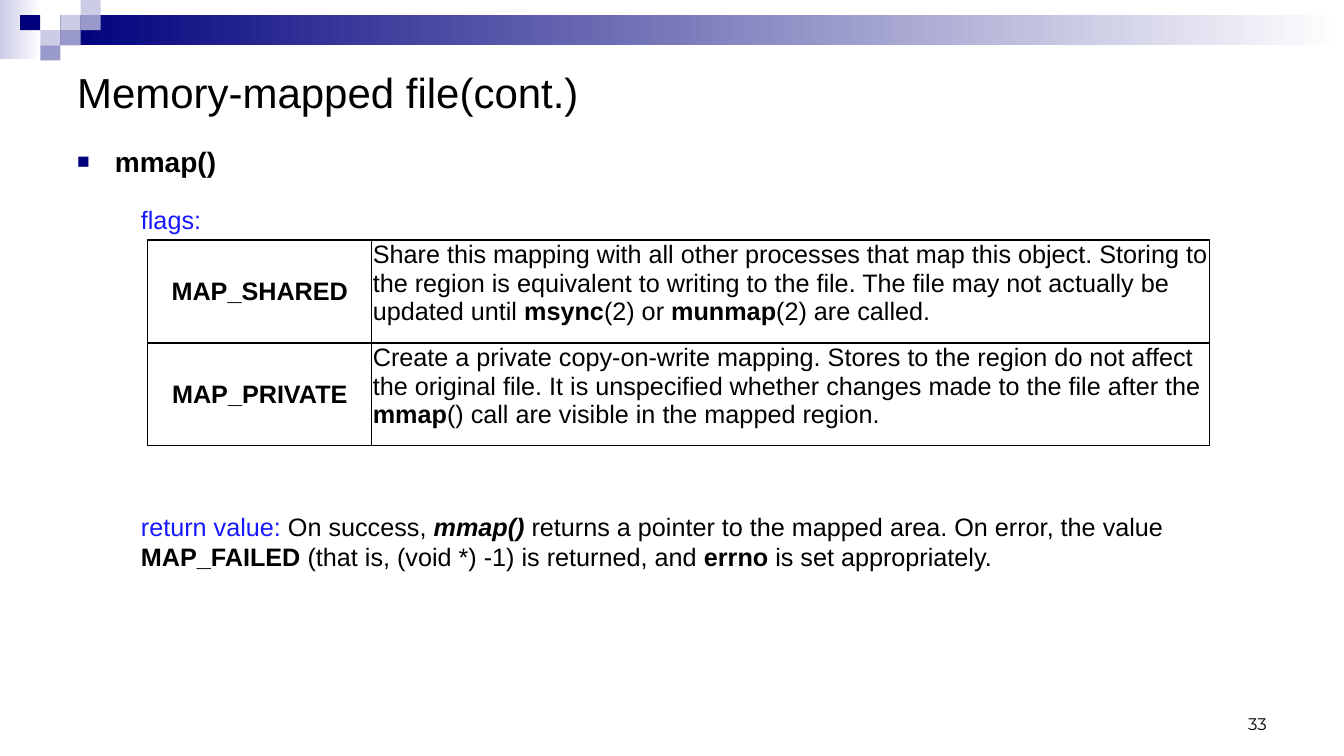
import dataclasses

import pptx
import pptx.dml.color
import pptx.enum.shapes
import pptx.enum.text
import pptx.oxml
import pptx.oxml.ns
import pptx.util

Pt = pptx.util.Pt
RGB = pptx.dml.color.RGBColor.from_string
ALIGN = pptx.enum.text.PP_ALIGN
ANCHOR = pptx.enum.text.MSO_ANCHOR


@dataclasses.dataclass(frozen=True)
class Theme:
    ink: str = "000000"
    label: str = "1818FF"
    navy: str = "00007D"
    mid: str = "9999CC"
    pale: str = "CCCCE6"
    white: str = "FFFFFF"
    font: str = "Arial"
    digit: str = "Montserrat"
    title: int = 30
    head: int = 20
    text: int = 18
    page: int = 12


THEME = Theme()


def make_node(tag, inner="", **attrs):
    pairs = "".join(f' {key}="{val}"' for key, val in attrs.items())
    space = pptx.oxml.ns.nsdecls("a")
    return pptx.oxml.parse_xml(f"<a:{tag} {space}{pairs}>{inner}</a:{tag}>")


def add_runs(para, runs, size, font=THEME.font):
    """Each run is its text, a style string of b and i, and a colour."""
    for text, style, color in runs:
        run = para.add_run()
        run.text = text
        run.font.name = font
        run.font.size = Pt(size)
        run.font.bold = "b" in style
        run.font.italic = "i" in style
        run.font.color.rgb = RGB(color)


def add_text(slide, box, runs, size, font=THEME.font,
             anchor=ANCHOR.TOP, align=ALIGN.LEFT):
    frame = slide.shapes.add_textbox(*map(Pt, box)).text_frame
    frame.word_wrap = True
    frame.vertical_anchor = anchor
    para = frame.paragraphs[0]
    para.alignment = align
    add_runs(para, runs, size, font)
    return para


def add_block(slide, box, *colors):
    """A plain block for one colour, a left-to-right fade for two."""
    kind = pptx.enum.shapes.MSO_SHAPE.RECTANGLE
    shape = slide.shapes.add_shape(kind, *map(Pt, box))
    shape.shadow.inherit = False
    shape.line.fill.background()
    if len(colors) == 1:
        shape.fill.solid()
        shape.fill.fore_color.rgb = RGB(colors[0])
        return
    shape.fill.gradient()
    shape.fill.gradient_angle = 0
    for spot, (stop, color) in enumerate(zip(shape.fill.gradient_stops, colors)):
        stop.position = spot
        stop.color.rgb = RGB(color)


def add_band(slide, box):
    left, top, width, height = box
    wide, high = 14.4, height / 4

    # Fades behind the squares
    add_block(slide, (left, top, 30, height - 1.2), THEME.pale, THEME.white)
    start = 3 * wide
    add_block(slide, (left + start, top + high, width - start, 2 * high),
              THEME.navy, THEME.white)

    # Squares on a grid of columns and rows
    squares = [(3, 1, THEME.pale), (4, 0, THEME.pale), (4, 1, THEME.mid),
               (2, 2, THEME.pale), (1, 1, THEME.navy), (3, 2, THEME.mid),
               (2, 3, THEME.mid)]
    for col, row, color in squares:
        add_block(slide, (left + col * wide, top + row * high, wide, high), color)


def add_point(slide, box, text):
    para = add_text(slide, box, [(text, "b", THEME.ink)], THEME.head)
    props = para._p.get_or_add_pPr()
    props.set("marL", str(Pt(27)))
    props.set("indent", str(Pt(-27)))
    shade = f'<a:srgbClr val="{THEME.navy}"/>'
    props.append(make_node("buClr", shade))
    props.append(make_node("buSzPct", val=75000))
    props.append(make_node("buFont", typeface=THEME.font))
    props.append(make_node("buChar", char="■"))


def add_edges(cell):
    props = cell._tc.get_or_add_tcPr()
    fill = f'<a:solidFill><a:srgbClr val="{THEME.ink}"/></a:solidFill>'
    for spot, side in enumerate("LRTB"):
        props.insert(spot, make_node("ln" + side, fill, w=Pt(1)))


def add_flags(slide, box, rows):
    left, top, width, height = box
    names = 160
    frame = slide.shapes.add_table(len(rows), 2, *map(Pt, box))
    table = frame.table
    table.first_row = table.horz_banding = False
    table.columns[0].width = Pt(names)
    table.columns[1].width = Pt(width - names)
    for line, (name, runs) in zip(table.rows, rows):
        line.height = Pt(height / len(rows))
        first, second = line.cells
        for cell in (first, second):
            cell.fill.background()
            add_edges(cell)
            cell.margin_left = cell.margin_right = Pt(0.75)
            cell.margin_top = cell.margin_bottom = Pt(0.75)
        first.vertical_anchor = ANCHOR.MIDDLE
        para = first.text_frame.paragraphs[0]
        para.alignment = ALIGN.CENTER
        add_runs(para, [(name, "b", THEME.ink)], THEME.text)
        add_runs(second.text_frame.paragraphs[0],
                 [(text, style, THEME.ink) for text, style in runs], THEME.text)


FLAGS = [
    ("MAP_SHARED", [
        ("Share this mapping with all other processes that map this object. "
         "Storing to the region is equivalent to writing to the file. "
         "The file may not actually be updated until ", ""),
        ("msync", "b"), ("(2) or ", ""), ("munmap", "b"),
        ("(2) are called.", "")]),
    ("MAP_PRIVATE", [
        ("Create a private copy-on-write mapping. Stores to the region do not "
         "affect the original file. It is unspecified whether changes made to "
         "the file after the ", ""),
        ("mmap", "b"),
        ("() call are visible in the mapped region.", "")]),
]

RESULT = [
    ("return value: ", "", THEME.label),
    ("On success, ", "", THEME.ink),
    ("mmap()", "bi", THEME.ink),
    (" returns a pointer to the mapped area. On error, the value ", "", THEME.ink),
    ("MAP_FAILED ", "b", THEME.ink),
    ("(that is, (void *) -1) is returned, and ", "", THEME.ink),
    ("errno", "b", THEME.ink),
    (" is set appropriately.", "", THEME.ink),
]


def add_page(slide, box):
    left, top, width, height = box
    add_band(slide, (left, top, width, 43.2))

    # Title and main point
    inner = width - 96
    add_text(slide, (left + 48, top + 36, inner, 58.4),
             [("Memory-mapped file(cont.)", "", THEME.ink)],
             THEME.title, anchor=ANCHOR.MIDDLE)
    add_point(slide, (left + 48, top + 100, inner, 362), "mmap()")

    # Flags and return value
    add_text(slide, (left + 93.6, top + 142.6, 761, 29),
             [("flags:", "", THEME.label)], THEME.text)
    add_flags(slide, (left + 105.6, top + 171.5, 758.4, 147), FLAGS)
    add_text(slide, (left + 93.6, top + 361.6, 761, 51), RESULT, THEME.text)

    # Page number
    add_text(slide, (left + width - 272, top + height - 48, 224, 36),
             [("33", "", THEME.ink)], THEME.page, THEME.digit,
             ANCHOR.BOTTOM, ALIGN.RIGHT)


def main():
    deck = pptx.Presentation()
    deck.slide_width, deck.slide_height = Pt(960), Pt(540)
    slide = deck.slides.add_slide(deck.slide_layouts[6])
    add_page(slide, (0, 0, 960, 540))
    deck.save("out.pptx")


if __name__ == "__main__":
    main()
